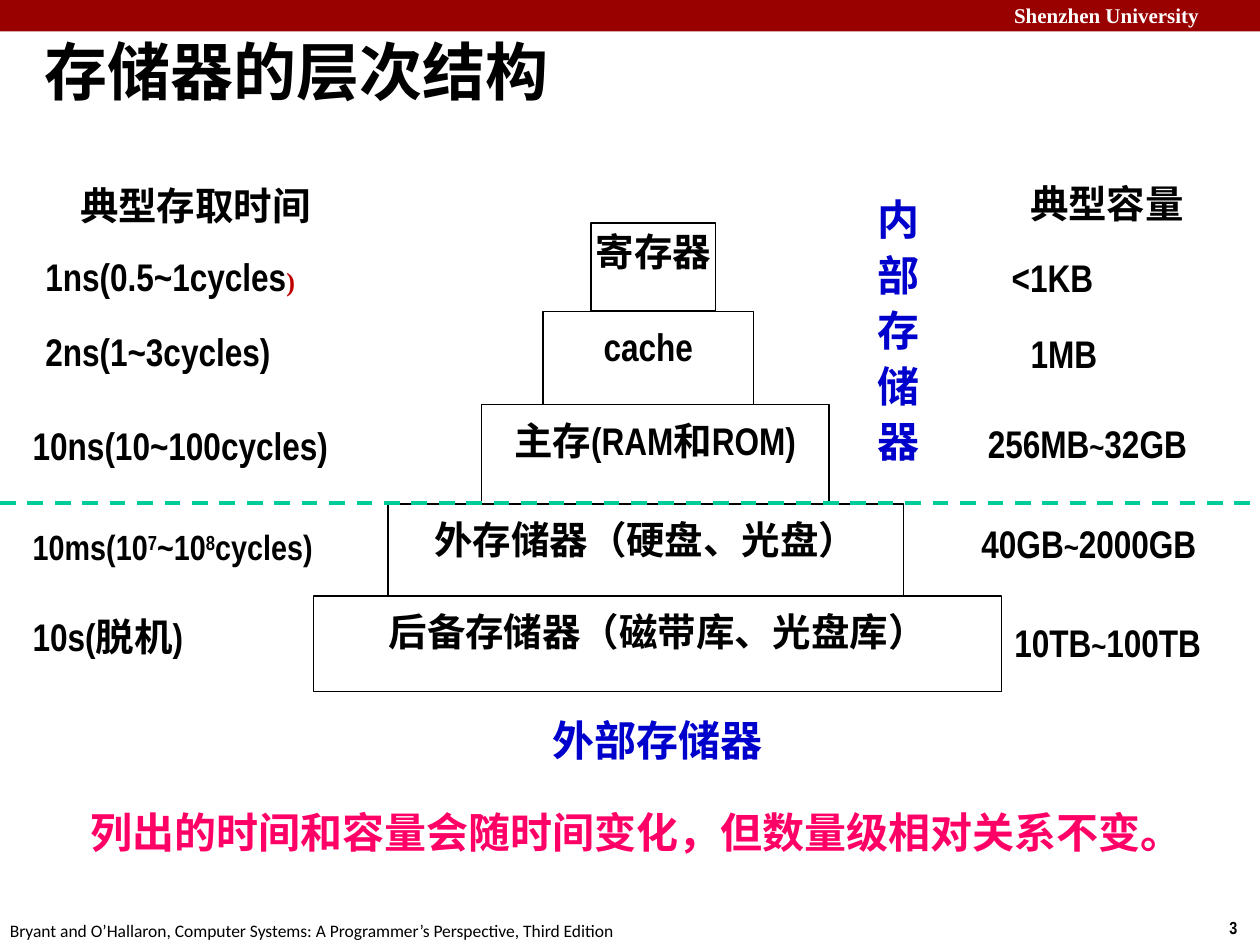
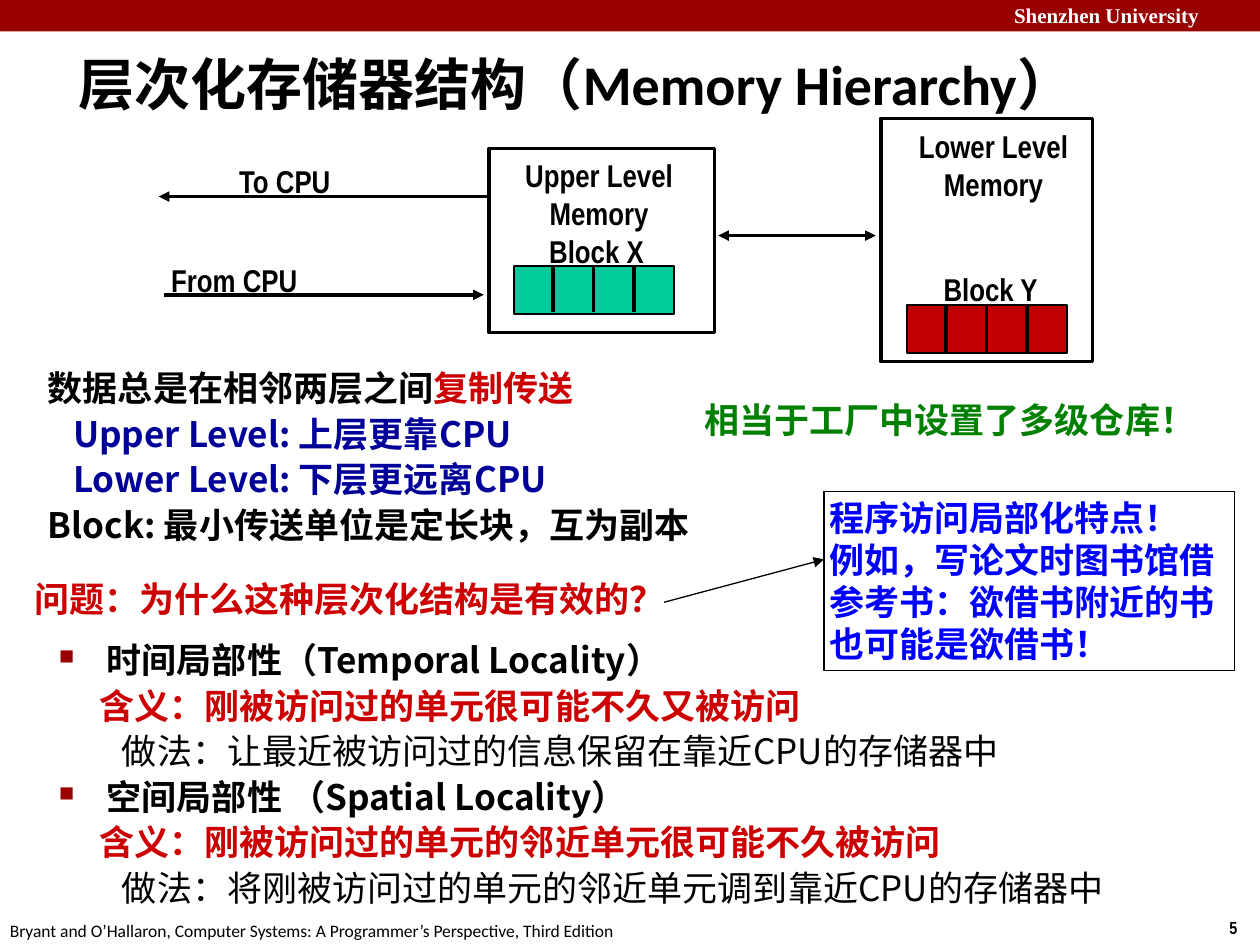
from dataclasses import dataclass

from lxml import etree
from pptx import Presentation
from pptx.dml.color import RGBColor
from pptx.enum import dml, shapes, text
from pptx.oxml import ns
from pptx.util import Inches, Pt


@dataclass(frozen=True)
class Theme:
    black: str = "000000"
    white: str = "FFFFFF"
    band: str = "990000"
    teal: str = "00CC99"
    dark_red: str = "C00000"
    red: str = "CC0000"
    pink: str = "FF0066"
    blue: str = "0000CC"
    navy: str = "000099"
    bright_blue: str = "0000FF"
    green: str = "008000"
    narrow: str = "Arial Narrow"
    serif: str = "Times New Roman"
    sans: str = "Calibri"
    cjk: str = "Noto Sans CJK SC"
    footer: int = 10
    header: int = 12
    label: int = 18
    body: int = 20
    level: int = 22
    note: int = 24


theme = Theme()
LEFT, CENTER = text.PP_ALIGN.LEFT, text.PP_ALIGN.CENTER
TEXT_INSETS = (0.1, 0.05)
WIDE_INSETS = (0.13, 0.06)
SIDE_INSETS = (0.13, 0)
NO_INSETS = (0, 0)


def add_box(slide, box, paragraphs=(), size=theme.level, font=theme.narrow,
            color=theme.black, bold=True, align=LEFT, insets=TEXT_INSETS,
            spacing=1.0, before=0, fill=None, line=None):
    """Add a text box, or a rectangle when it has a fill or a line.

    A paragraph is a list of runs; a run is a string or (string, changes).
    """
    lengths = [Inches(value) for value in box]
    if fill or line:
        shape = slide.shapes.add_shape(shapes.MSO_SHAPE.RECTANGLE, *lengths)
        shape.shadow.inherit = False
        if fill:
            shape.fill.solid()
            shape.fill.fore_color.rgb = RGBColor.from_string(fill)
        else:
            shape.fill.background()
        if line:
            shape.line.color.rgb = RGBColor.from_string(theme.black)
            shape.line.width = Pt(line)
        else:
            shape.line.fill.background()
    else:
        shape = slide.shapes.add_textbox(*lengths)
    frame = shape.text_frame
    frame.word_wrap = True
    frame.vertical_anchor = text.MSO_ANCHOR.TOP
    frame.margin_left = frame.margin_right = Inches(insets[0])
    frame.margin_top = frame.margin_bottom = Inches(insets[1])
    for index, runs in enumerate(paragraphs):
        paragraph = frame.add_paragraph() if index else frame.paragraphs[0]
        paragraph.alignment = align
        paragraph.line_spacing = spacing
        paragraph.space_before = Pt(before if index else 0)
        paragraph.font.name = font
        paragraph.font.size = Pt(size)
        paragraph.font.bold = bold
        paragraph.font.color.rgb = RGBColor.from_string(color)
        for item in runs:
            content, changes = (item, {}) if isinstance(item, str) else item
            run = paragraph.add_run()
            run.text = content
            if "size" in changes:
                run.font.size = Pt(changes["size"])
            if "font" in changes:
                run.font.name = changes["font"]
            if "bold" in changes:
                run.font.bold = changes["bold"]
            if "color" in changes:
                run.font.color.rgb = RGBColor.from_string(changes["color"])
            if "raised" in changes:
                run._r.get_or_add_rPr().set("baseline", "30000")
    return shape


def add_line(slide, start, end, width=2, color=theme.black, arrows=(), dashed=False):
    """Add a straight line; arrows names the ends (headEnd, tailEnd) that get a tip."""
    connector = slide.shapes.add_connector(
        shapes.MSO_CONNECTOR.STRAIGHT, *[Inches(value) for value in (*start, *end)])
    connector.line.width = Pt(width)
    connector.line.color.rgb = RGBColor.from_string(color)
    if dashed:
        connector.line.dash_style = dml.MSO_LINE.DASH
    outline = connector.line._get_or_add_ln()
    for end_name in arrows:
        etree.SubElement(outline, ns.qn("a:" + end_name), type="triangle")
    etree.SubElement(connector._element.spPr, ns.qn("a:effectLst"))


presentation = Presentation()
presentation.slide_width, presentation.slide_height = Inches(10), Inches(7.5)

# Shared frame: band, header, number, footer and title
slides = []
for number, heading, heading_size, heading_box in (
    ("3", "存储器的层次结构", 36, (0.25, 0.25, 9.63, 0.62)),
    ("5", "层次化存储器结构（Memory Hierarchy）", 32, (0.52, 0.4, 8.9, 0.52)),
):
    slide = presentation.slides.add_slide(presentation.slide_layouts[5])
    slides.append(slide)
    add_box(slide, (0, 0, 10, 0.25), fill=theme.band)
    add_box(slide, (7.95, -0.03, 2.12, 0.3), [["Shenzhen University"]],
            theme.header, theme.serif, theme.white)
    add_box(slide, (9.66, 7.23, 0.34, 0.27), [[number]], theme.footer)
    add_box(slide, (-0.02, 7.25, 5.09, 0.27),
            [["Bryant and O’Hallaron, Computer Systems: "
              "A Programmer’s Perspective, Third Edition"]],
            theme.footer, theme.sans, bold=False)
    title = slide.shapes.title
    title.left, title.top, title.width, title.height = map(Inches, heading_box)
    title.text_frame.text = heading
    title.text_frame.auto_size = text.MSO_AUTO_SIZE.NONE
    title.text_frame.vertical_anchor = text.MSO_ANCHOR.MIDDLE
    paragraph = title.text_frame.paragraphs[0]
    paragraph.alignment = LEFT
    paragraph.font.name = theme.sans
    paragraph.font.size = Pt(heading_size)
    paragraph.font.bold = True
    paragraph.font.color.rgb = RGBColor.from_string(theme.black)

pyramid, hierarchy = slides

# Slide 1: the pyramid of memory levels
for level, box, insets in (
    ("cache", (4.31, 2.47, 1.67, 0.76), WIDE_INSETS),
    ("主存(RAM和ROM)", (3.82, 3.21, 2.76, 0.79), WIDE_INSETS),
    ("外存储器（硬盘、光盘）", (3.08, 4, 4.09, 0.76), WIDE_INSETS),
    ("后备存储器（磁带库、光盘库）", (2.49, 4.73, 5.46, 0.76), WIDE_INSETS),
    ("寄存器", (4.69, 1.77, 0.99, 0.7), NO_INSETS),
):
    add_box(pyramid, box, [[level]], align=CENTER, insets=insets, spacing=1.1,
            fill=theme.white, line=0.75)
add_line(pyramid, (0, 3.99), (9.94, 3.99), 2.25, theme.teal, dashed=True)

for region, box in (("内部存储器", (6.77, 1.44, 0.72, 2.36)),
                    ("外部存储器", (4.06, 5.57, 2.31, 1.07))):
    add_box(pyramid, box, [[region]], theme.note, theme.serif, theme.blue,
            align=CENTER, insets=WIDE_INSETS, spacing=1.1)

for heading, box in (("典型存取时间", (0.31, 1.41, 2.48, 0.71)),
                     ("典型容量", (7.9, 1.39, 1.77, 0.71))):
    add_box(pyramid, box, [[heading]], align=CENTER, insets=SIDE_INSETS, spacing=1.1)

tilde = ("~", {"size": theme.label})
raised = {"raised": True}
closing = (")", {"size": 15, "font": theme.serif, "color": theme.dark_red})
for left, top, width, size, runs in (
    (0.23, 1.97, 2.85, theme.level, ["1ns(0.5~1cycles", closing]),
    (0.23, 2.57, 3.4, theme.level, ["2ns(1~3cycles)"]),
    (0.13, 3.31, 3.2, theme.level, ["10ns(10~100cycles)"]),
    (0.13, 4.14, 3.35, theme.body,
     ["10ms(10", ("7", raised), "~10", ("8", raised), "cycles)"]),
    (0.13, 4.83, 2.07, theme.level, ["10s(脱机)"]),
    (7.9, 1.98, 1.67, theme.level, ["<1KB"]),
    (8.05, 2.58, 1.67, theme.level, ["1MB"]),
    (7.71, 3.3, 2.05, theme.level, ["256MB", tilde, "32GB"]),
    (7.66, 4.09, 2.34, theme.level, ["40GB", tilde, "2000GB"]),
    (7.92, 4.88, 2.05, theme.level, ["10TB", tilde, "100TB"]),
):
    add_box(pyramid, (left, top, width, 0.71), [runs], size,
            insets=SIDE_INSETS, spacing=1.1)

add_box(pyramid, (0.72, 6.4, 8.96, 0.4),
        [["列出的时间和容量会随时间变化，但数量级相对关系不变。"]],
        theme.note, color=theme.pink, insets=NO_INSETS)

# Slide 2: blocks moving between two memory levels
for memory, memory_box, name_box, block, block_box, cells, cell_color in (
    ("Upper Level", (3.88, 1.18, 1.79, 1.46), (3.94, 1.19, 1.63, 0.7),
     "Block X", (4.26, 1.79, 1.11, 0.4), (4.08, 2.11), theme.teal),
    ("Lower Level", (6.99, 0.94, 1.68, 1.93), (7.07, 0.96, 1.63, 0.7),
     "Block Y", (7.39, 2.09, 1.44, 0.4), (7.2, 2.42), theme.dark_red),
):
    add_box(hierarchy, memory_box, line=2)
    add_box(hierarchy, name_box, [[memory], ["Memory"]], theme.label, align=CENTER)
    cells_left, cells_top = cells
    add_box(hierarchy, (cells_left, cells_top, 1.27, 0.38), fill=cell_color, line=1)
    add_box(hierarchy, block_box, [[block]], theme.label)
    for divider in range(3):
        x = cells_left + 0.31 + 0.32 * divider
        add_line(hierarchy, (x, cells_top + 0.01), (x, cells_top + 0.37))

add_line(hierarchy, (3.88, 1.56), (1.26, 1.56), arrows=["tailEnd"])
add_line(hierarchy, (1.3, 2.34), (3.84, 2.34), arrows=["tailEnd"])
add_line(hierarchy, (5.7, 1.87), (6.95, 1.87), arrows=["headEnd", "tailEnd"])
add_box(hierarchy, (1.8, 1.24, 1.1, 0.4), [["To CPU"]], theme.label)
add_box(hierarchy, (1.26, 2.02, 1.42, 0.4), [["From CPU"]], theme.label)

navy = {"color": theme.navy}
red = {"color": theme.red}
plain = {"bold": False}
transfer = add_box(hierarchy, (0.38, 2.91, 8.05, 1.43), [
    ["数据总是在相邻两层之间", ("复制传送", red)],
    [("Upper Level: 上层更靠CPU", navy)],
    [("Lower Level: 下层更远离CPU", navy)],
    ["Block: 最小传送单位是定长块，互为副本"],
], theme.body, theme.cjk, insets=NO_INSETS, before=2)
for paragraph in transfer.text_frame.paragraphs[1:3]:
    paragraph._p.get_or_add_pPr().set("marL", str(Inches(0.2)))

for remark, color, box in (
    ("问题：为什么这种层次化结构是有效的？", theme.red, (0.27, 4.58, 6.31, 0.33)),
    ("相当于工厂中设置了多级仓库！", theme.green, (5.59, 3.16, 3.99, 0.33)),
):
    add_box(hierarchy, box, [[remark]], theme.body, color=color, insets=NO_INSETS)

add_box(hierarchy, (6.54, 3.9, 3.26, 1.42), [
    ["程序访问局部化特点！"],
    ["例如，写论文时图书馆借参考书：欲借书附近的书也可能是欲借书！"],
], theme.body, color=theme.bright_blue, insets=(0.04, 0.04), line=0.75)
add_line(hierarchy, (5.27, 4.78), (6.54, 4.44), 0.75, arrows=["tailEnd"])

locality = add_box(hierarchy, (0.37, 5.02, 8.66, 2.22), [
    ["时间局部性（Temporal Locality）"],
    [("含义：刚被访问过的单元很可能不久又被访问", red)],
    [("做法：让最近被访问过的信息保留在靠近CPU的存储器中", plain)],
    ["空间局部性 （Spatial Locality）"],
    [("含义：刚被访问过的单元的邻近单元很可能不久被访问", red)],
    [("做法：将刚被访问过的单元的邻近单元调到靠近CPU的存储器中", plain)],
], theme.body, theme.cjk, before=2)
for index, paragraph in enumerate(locality.text_frame.paragraphs):
    properties = paragraph._p.get_or_add_pPr()
    properties.set("marL", str(Inches((0.38, 0.32, 0.5)[index % 3])))
    if index % 3 == 0:
        properties.set("indent", str(Inches(-0.38)))
        bullet_color = etree.Element(ns.qn("a:buClr"))
        etree.SubElement(bullet_color, ns.qn("a:srgbClr"), val=theme.band)
        bullet_size = etree.Element(ns.qn("a:buSzPct"), val="60000")
        bullet = etree.Element(ns.qn("a:buChar"), char="■")
        font_defaults = properties.find(ns.qn("a:defRPr"))
        for element in (bullet_color, bullet_size, bullet):
            font_defaults.addprevious(element)

presentation.save("out.pptx")
